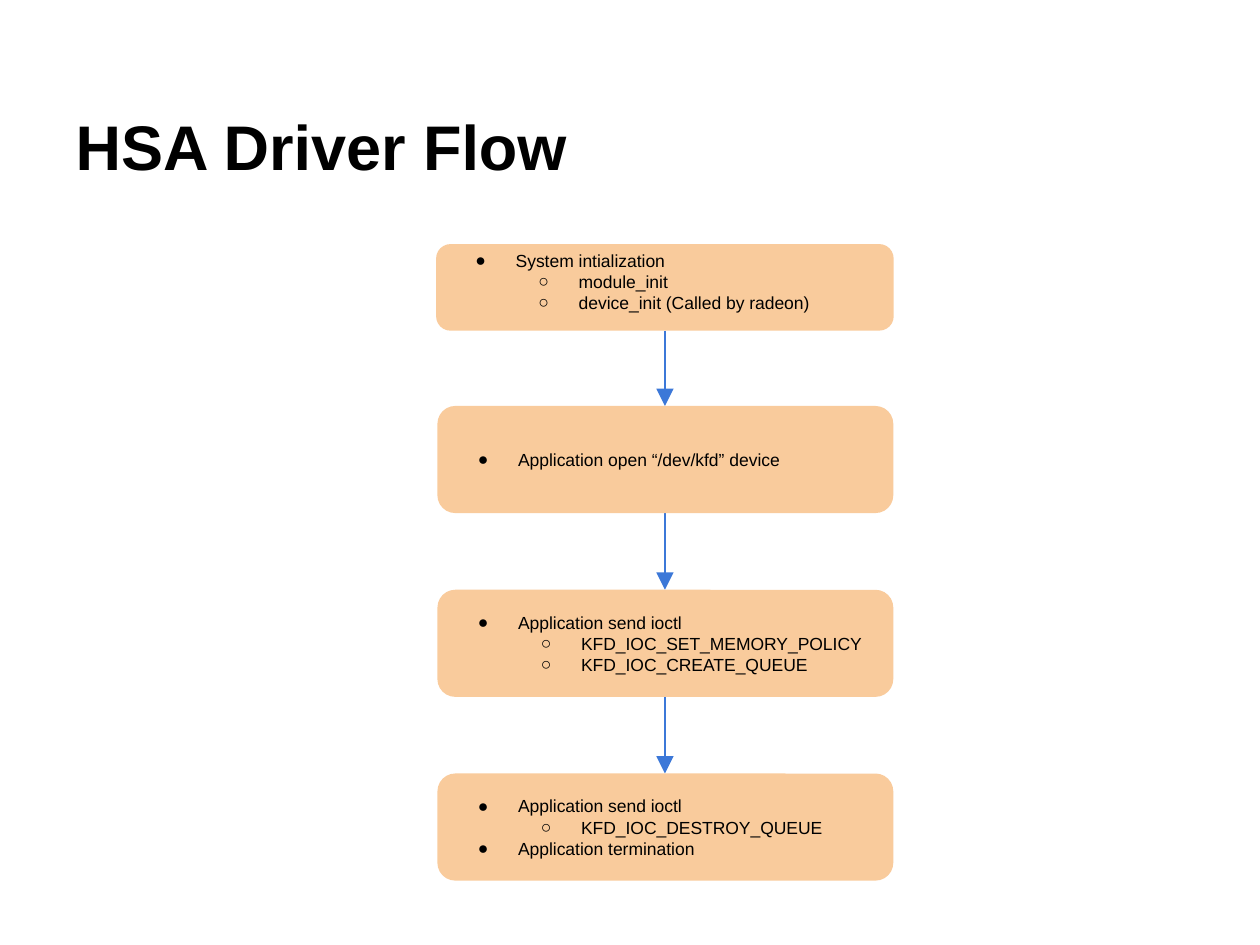
from lxml import etree
from pptx import Presentation
from pptx.dml.color import RGBColor
from pptx.enum.shapes import MSO_CONNECTOR as CONN, MSO_SHAPE as SHAPE
from pptx.enum.text import MSO_ANCHOR as ANCHOR, PP_ALIGN as ALIGN
from pptx.oxml.ns import qn
from pptx.util import Pt


def color(hex_text):
    return RGBColor.from_string(hex_text)


def add_bullet(p, char, left):
    pPr = p._p.get_or_add_pPr()
    pPr.set("marL", str(Pt(left)))
    pPr.set("indent", str(Pt(-23)))
    clr = etree.SubElement(pPr, qn("a:buClr"))
    etree.SubElement(clr, qn("a:srgbClr"), val="000000")
    etree.SubElement(pPr, qn("a:buFont"), typeface="Arial")
    etree.SubElement(pPr, qn("a:buChar"), char=char)


TITLE_FONT = {"name": "Arial", "size": Pt(36), "bold": True}
BODY_FONT = {"name": "Arial", "size": Pt(10)}
INSETS = {"margin_left": Pt(7.2), "margin_right": Pt(7.2),
          "margin_top": Pt(7.2), "margin_bottom": Pt(7.2), "word_wrap": True}
BULLETS = [("●", 36), ("○", 72)]
CENTER_X = 380

# Each step: left, top, width, height, lines as (level, text)
STEPS = [
    (249.2, 139.5, 261.5, 49.5, [(0, "System intialization"),
                                 (1, "module_init"),
                                 (1, "device_init (Called by radeon)")]),
    (250, 232, 260.5, 61.2, [(0, "Application open “/dev/kfd” device")]),
    (250, 337, 260.5, 61.2, [(0, "Application send ioctl"),
                             (1, "KFD_IOC_SET_MEMORY_POLICY"),
                             (1, "KFD_IOC_CREATE_QUEUE")]),
    (250, 442, 260.5, 61.2, [(0, "Application send ioctl"),
                             (1, "KFD_IOC_DESTROY_QUEUE"),
                             (0, "Application termination")]),
]

prs = Presentation()
prs.slide_width, prs.slide_height = Pt(720), Pt(540)
s = prs.slides.add_slide(prs.slide_layouts[5])

# Title
title = s.shapes.title
title.left, title.top, title.width, title.height = Pt(36), Pt(21.6), Pt(648), Pt(90)
tf = title.text_frame
for name, value in INSETS.items():
    setattr(tf, name, value)
tf.vertical_anchor = ANCHOR.BOTTOM
p = tf.paragraphs[0]
p.alignment = ALIGN.LEFT
r = p.add_run()
r.text = "HSA Driver Flow"
for name, value in TITLE_FONT.items():
    setattr(r.font, name, value)
r.font.color.rgb = color("000000")

# Arrows from each step to the next
for (_, top, _, height, _), (_, next_top, _, _, _) in zip(STEPS, STEPS[1:]):
    arrow = s.shapes.add_connector(CONN.STRAIGHT, Pt(CENTER_X), Pt(top + height),
                                   Pt(CENTER_X), Pt(next_top))
    arrow.line.color.rgb = color("3C78D8")
    arrow.line.width = Pt(1.5)
    etree.SubElement(arrow.line._get_or_add_ln(), qn("a:tailEnd"),
                     type="triangle", w="lg", len="lg")
    etree.SubElement(arrow._element.spPr, qn("a:effectLst"))

# Step boxes
for i, (left, top, width, height, lines) in enumerate(STEPS):
    sp = s.shapes.add_shape(SHAPE.ROUNDED_RECTANGLE, Pt(left), Pt(top),
                            Pt(width), Pt(height))
    sp.shadow.inherit = False
    sp.fill.solid()
    sp.fill.fore_color.rgb = color("F9CB9C")
    sp.line.fill.background()
    tf = sp.text_frame
    for name, value in INSETS.items():
        setattr(tf, name, value)
    tf.vertical_anchor = ANCHOR.MIDDLE
    if i == 0:  # the first box holds its text at the top edge
        tf.vertical_anchor = ANCHOR.TOP
        tf.margin_top = Pt(1)
    for n, (level, text) in enumerate(lines):
        p = tf.add_paragraph() if n else tf.paragraphs[0]
        p.level = level
        p.alignment = ALIGN.LEFT
        add_bullet(p, *BULLETS[level])
        r = p.add_run()
        r.text = text
        for name, value in BODY_FONT.items():
            setattr(r.font, name, value)
        r.font.color.rgb = color("000000")

prs.save("out.pptx")
